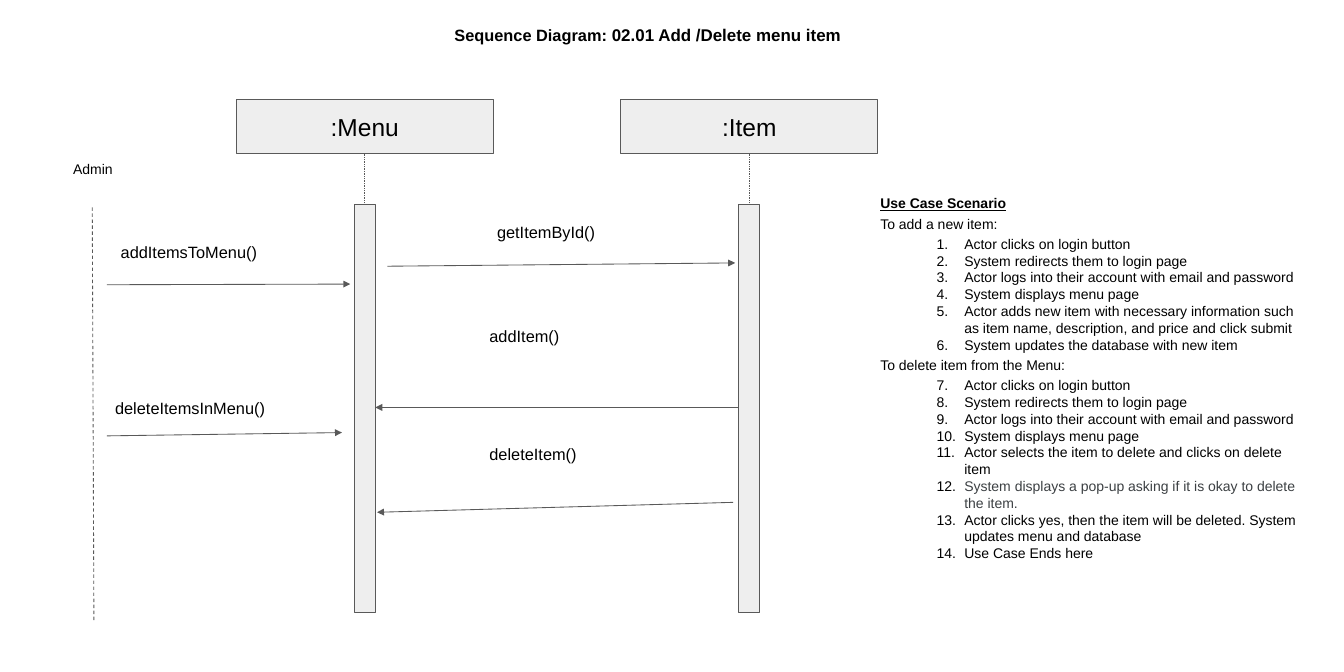
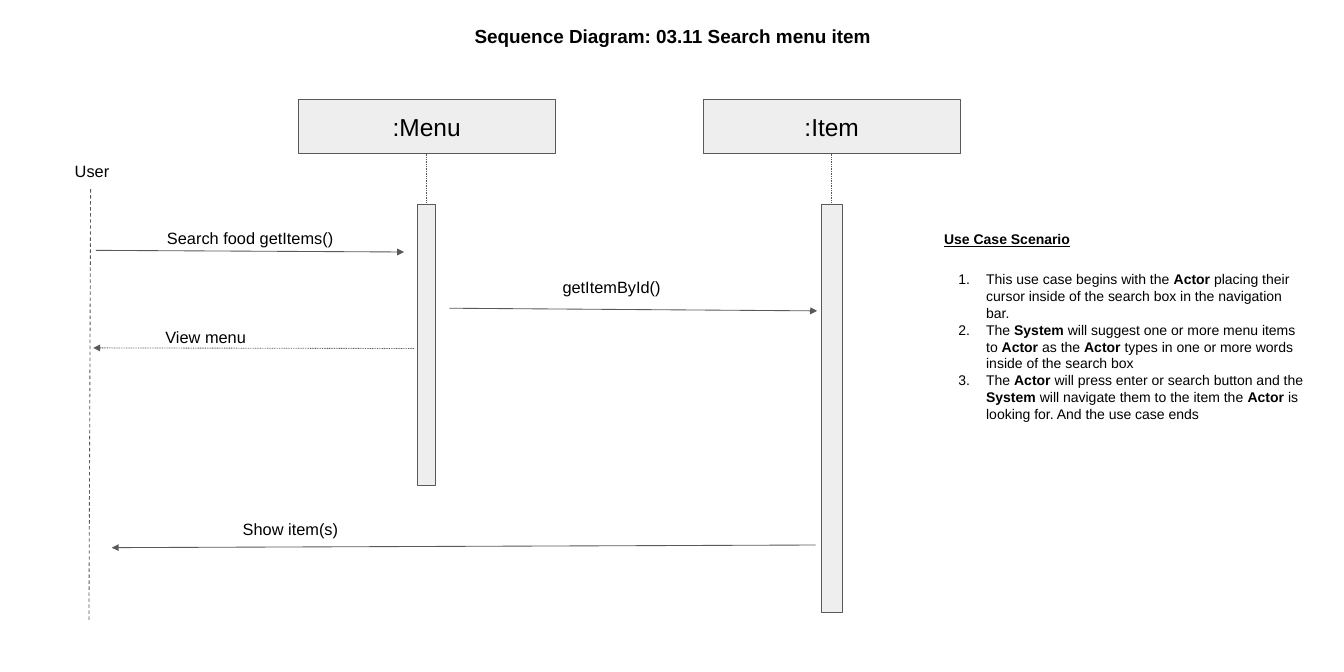
"""Build two sequence diagram slides for menu items."""
from dataclasses import dataclass

from lxml.etree import SubElement
from pptx import Presentation
from pptx.dml.color import RGBColor
from pptx.enum.dml import MSO_LINE
from pptx.enum.shapes import MSO_CONNECTOR, MSO_SHAPE
from pptx.enum.text import MSO_ANCHOR, PP_ALIGN
from pptx.oxml.ns import qn
from pptx.util import Cm, Pt


@dataclass(frozen=True)
class Theme:
    font: str = "Arial"
    ink: RGBColor = RGBColor(0x00, 0x00, 0x00)
    muted: RGBColor = RGBColor(0x3C, 0x40, 0x43)
    line: RGBColor = RGBColor(0x59, 0x59, 0x59)
    fill: RGBColor = RGBColor(0xEE, 0xEE, 0xEE)
    head: float = 21
    label: float = 14
    note: float = 12
    line_width: float = 0.75


theme = Theme()


def add_text(tf, text, size=theme.label, color=theme.ink, bold=False, underline=False,
             align=PP_ALIGN.LEFT, before=0, inset=0.25, indent=0, start=None):
    """Add a paragraph; parts between asterisks are bold, start numbers it."""
    tf.word_wrap = True
    tf.margin_left = tf.margin_right = tf.margin_top = tf.margin_bottom = Cm(inset)
    p = tf.add_paragraph() if tf.paragraphs[0].runs else tf.paragraphs[0]
    p.alignment, p.space_before = align, Pt(before)
    for i, part in enumerate(text.split("*")):
        if part:
            r = p.add_run()
            r.text = part
            r.font.name, r.font.size = theme.font, Pt(size)
            r.font.color.rgb = color
            r.font.bold, r.font.underline = bold or i % 2 == 1, underline
    if start:
        pPr = p._p.get_or_add_pPr()
        pPr.set("marL", str(Cm(indent)))
        pPr.set("indent", str(-Cm(0.84)))
        SubElement(SubElement(pPr, qn("a:buClr")), qn("a:srgbClr"), val=str(theme.ink))
        SubElement(pPr, qn("a:buFont"), typeface=theme.font)
        SubElement(pPr, qn("a:buAutoNum"), type="arabicPeriod", startAt=str(start))
    return p


def add_line(s, ends, dash=None, arrow=False):
    """Draw a straight line between two points."""
    sp = s.shapes.add_connector(MSO_CONNECTOR.STRAIGHT, *map(Cm, ends))
    sp.line.color.rgb, sp.line.width = theme.line, Pt(theme.line_width)
    if dash:
        sp.line.dash_style = dash
    if arrow:
        SubElement(sp.line._get_or_add_ln(), qn("a:tailEnd"), type="triangle")
    SubElement(sp._element.spPr, qn("a:effectLst"))


DOT = MSO_LINE.ROUND_DOT
HEAD_W, HEAD_H, HEAD_TOP = 7.77, 1.63, 3.02
BAR_TOP, LABEL_H = 6.17, 1.12

diagrams = [
    {
        "title": [("Sequence Diagram: ", 14), ("02.01 Add /Delete menu item", 14.5)],
        "title_box": (13.49, 0.48, 13.67, 1.14),
        "title_inset": 0.25,
        "actor": ("Admin", 12, (1.96, 4.6, 1.73)),
        "actor_line": (2.79, 6.27, 2.84, 18.82),
        "lifelines": [(":Item", 22.66, 0.64, 12.34), (":Menu", 11.03, 0.64, 12.34)],
        "messages": [
            ("addItemsToMenu()", (3.4, 7.06, 4.72), (3.23, 8.61, 10.59, 8.59), None),
            ("getItemById()", (14.78, 6.48, 4.45), (11.71, 8.05, 22.23, 7.95), None),
            ("addItem()", (14.55, 9.6, 4.22), (22.33, 12.32, 11.35, 12.32), None),
            ("deleteItemsInMenu()", (3.23, 11.79, 5.08), (3.23, 13.18, 10.34, 13.08), None),
            ("deleteItem()", (14.55, 13.18, 4.22), (22.17, 15.19, 11.4, 15.49), None),
        ],
        "notes_box": (26.37, 5.64, 13.41, 11.71),
        "indent": 2.54,
        "first_gap": 3,
        "muted_step": 12,
        "sections": [
            ("To add a new item:", [
                "Actor clicks on login button",
                "System redirects them to login page",
                "Actor logs into their account with email and password",
                "System displays menu page",
                "Actor adds new item with necessary information such as item name, "
                "description, and price and click submit",
                "System updates the database with new item",
            ]),
            ("To delete item from the Menu:", [
                "Actor clicks on login button",
                "System redirects them to login page",
                "Actor logs into their account with email and password",
                "System displays menu page",
                "Actor selects the item to delete and clicks on delete item",
                "System displays a pop-up asking if it is okay to delete the item.",
                "Actor clicks yes, then the item will be deleted. "
                "System updates menu and database",
                "Use Case Ends here",
            ]),
        ],
    },
    {
        "title": [("Sequence Diagram: 03.11 Search menu item", 16.2)],
        "title_box": (14.05, 0.43, 13.44, 1.32),
        "title_inset": 0.3,
        "actor": ("User", 14, (2.01, 4.62, 1.91)),
        "actor_line": (2.74, 5.72, 2.69, 18.75),
        "lifelines": [(":Menu", 12.9, 0.56, 8.51), (":Item", 25.15, 0.64, 12.34)],
        "messages": [
            ("Search food getItems()", (4.8, 6.65, 6.6), (2.9, 7.57, 12.22, 7.62), None),
            ("getItemById()", (16.76, 8.13, 5.97), (13.59, 9.32, 24.71, 9.4), None),
            ("View menu", (4.75, 9.63, 5.97), (12.52, 10.54, 2.82, 10.52), DOT),
            ("Show item(s)", (7.09, 15.44, 4.8), (24.66, 16.48, 3.38, 16.56), None),
        ],
        "notes_box": (28.3, 6.73, 11.48, 6.38),
        "indent": 1.27,
        "first_gap": 20,
        "muted_step": None,
        "sections": [
            (None, [
                "This use case begins with the *Actor* placing their cursor inside of "
                "the search box in the navigation bar.",
                "The *System* will suggest one or more menu items to *Actor* as the "
                "*Actor* types in one or more words inside of the search box",
                "The *Actor* will press enter or search button and the *System* will "
                "navigate them to the item the *Actor* is looking for. "
                "And the use case ends",
            ]),
        ],
    },
]

prs = Presentation()
prs.slide_width, prs.slide_height = Cm(40.64), Cm(20.32)

for d in diagrams:
    s = prs.slides.add_slide(prs.slide_layouts[6])

    tf = s.shapes.add_textbox(*map(Cm, d["title_box"])).text_frame
    (text, size), *rest = d["title"]
    p = add_text(tf, text, size=size, bold=True, inset=d["title_inset"])
    for text, size in rest:
        r = p.add_run()
        r.text = text
        r.font.name, r.font.size, r.font.bold = theme.font, Pt(size), True
        r.font.color.rgb = theme.ink

    add_line(s, d["actor_line"], dash=MSO_LINE.DASH)
    actor, size, box = d["actor"]
    labels = [(actor, size, box)] + [(m[0], theme.label, m[1]) for m in d["messages"]]

    for name, x, bar_w, bar_h in d["lifelines"]:
        add_line(s, (x, HEAD_TOP + HEAD_H, x, 6.91), dash=DOT)
        head = (x - HEAD_W / 2, HEAD_TOP, HEAD_W, HEAD_H)
        bar = (x - bar_w / 2, BAR_TOP, bar_w, bar_h)
        for box, text in ((head, name), (bar, None)):
            sp = s.shapes.add_shape(MSO_SHAPE.RECTANGLE, *map(Cm, box))
            sp.shadow.inherit = False
            sp.fill.solid()
            sp.fill.fore_color.rgb = theme.fill
            sp.line.color.rgb, sp.line.width = theme.line, Pt(theme.line_width)
            if text:
                sp.text_frame.vertical_anchor = MSO_ANCHOR.MIDDLE
                add_text(sp.text_frame, text, size=theme.head,
                         align=PP_ALIGN.CENTER, inset=0.38)

    for text, size, box in labels:
        tf = s.shapes.add_textbox(*map(Cm, (*box, LABEL_H))).text_frame
        add_text(tf, text, size=size)
    for _, _, ends, dash in d["messages"]:
        add_line(s, ends, dash=dash, arrow=True)

    tf = s.shapes.add_textbox(*map(Cm, d["notes_box"])).text_frame
    add_text(tf, "Use Case Scenario", size=theme.note, bold=True, underline=True, before=3)
    start = 1
    for intro, steps in d["sections"]:
        if intro:
            add_text(tf, intro, size=theme.note, before=3)
        for i, step in enumerate(steps):
            muted = start + i == d["muted_step"]
            add_text(tf, step, size=theme.note, color=theme.muted if muted else theme.ink,
                     before=0 if i else d["first_gap"], indent=d["indent"], start=start)
        start += len(steps)

prs.save("out.pptx")
